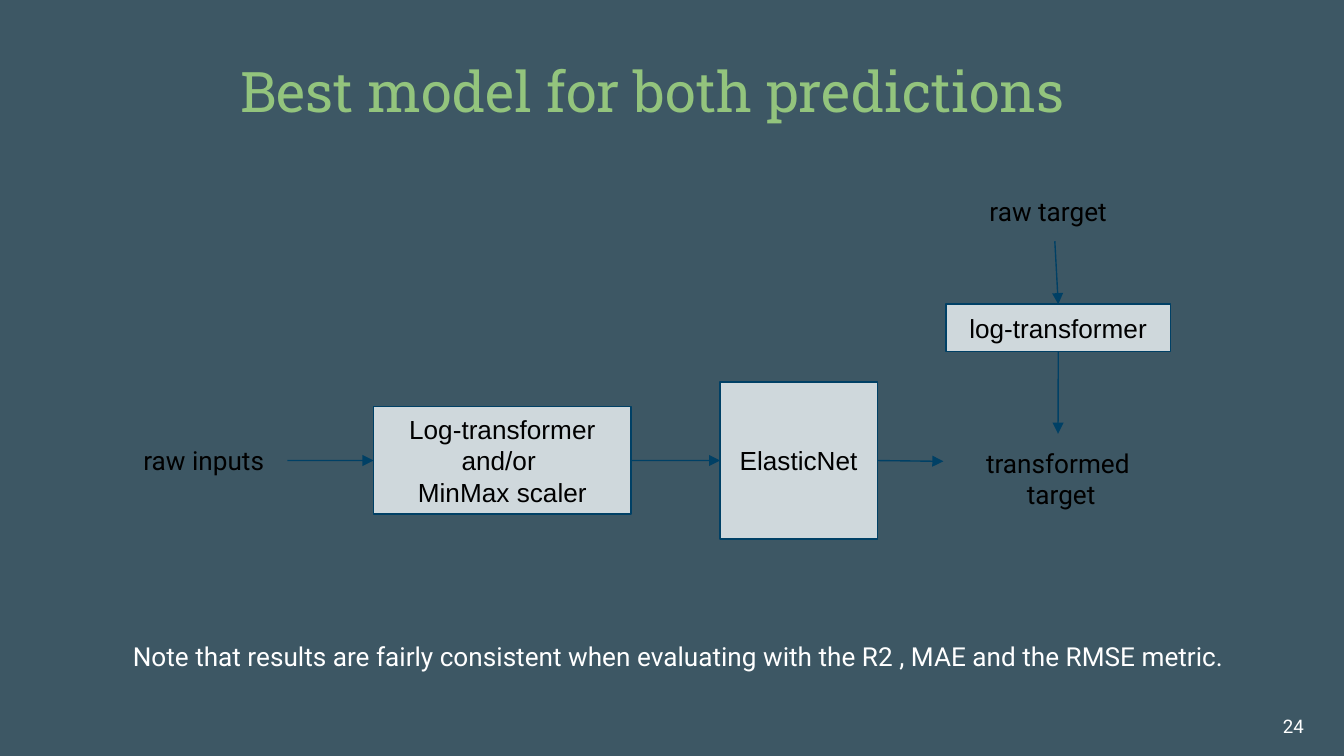
from lxml import etree
from pptx import Presentation
from pptx import util as u
from pptx.dml.color import RGBColor
from pptx.enum import shapes, text
from pptx.oxml.ns import qn

TITLE = "Best model for both predictions"
BACKGROUND, BOX_FILL, LINE, BLACK, WHITE, GREEN = "3D5764", "CFD8DC", "004065", "000000", "FFFFFF", "93C47D"
TOP, LEFT, BOTTOM, RIGHT = range(4)

BOXES = {
    "elastic": ("ElasticNet", "FLOWCHART_PROCESS", (13.61, 7.22, 2.97, 2.97)),
    "scaler": ("Log-transformer\nand/or \nMinMax scaler", "RECTANGLE", (7.06, 7.69, 4.87, 2.03)),
    "log": ("log-transformer", "RECTANGLE", (17.88, 5.75, 4.24, 0.9)),
}
LABELS = {
    "inputs": ("raw inputs", (2.46, 8.15, 2.97, 1.11), {}),
    "target": ("raw target", (18.45, 3.45, 2.97, 1.11), {}),
    "transformed": ("transformed\v target", (18.28, 8.2, 3.43, 1.71), {"align": "CENTER"}),
    "note": ("Note that results are fairly consistent when evaluating with the R2 , MAE and the RMSE metric.",
             (2.26, 11.86, 22, 1.11), {"color": WHITE}),
    "number": ("24", (23.37, 13.18, 1.52, 1.09),
               {"color": WHITE, "size": 10, "align": "RIGHT", "anchor": "MIDDLE"}),
}
ARROWS = [
    ("inputs", RIGHT, "scaler", LEFT),
    ("scaler", RIGHT, "elastic", LEFT),
    ("target", BOTTOM, "log", TOP),
    ("log", BOTTOM, "transformed", TOP),
]
OUTPUT_END = (17.83, 8.72)


def rgb(value):
    """Turn a hex string into a colour."""
    return RGBColor.from_string(value)


def write(s, words, font="Roboto", size=14, color=BLACK, align="LEFT", anchor="TOP"):
    """Fill a shape with formatted text."""
    tf = s.text_frame
    tf.word_wrap = True
    tf.auto_size = text.MSO_AUTO_SIZE.NONE
    tf.vertical_anchor = text.MSO_ANCHOR[anchor]
    tf.margin_left = tf.margin_right = tf.margin_top = tf.margin_bottom = u.Cm(0.25)
    tf.text = words
    for p in tf.paragraphs:
        p.alignment = text.PP_ALIGN[align]
        for r in p.runs:
            r.font.name, r.font.size = font, u.Pt(size)
            r.font.color.rgb = rgb(color)


def outline(s):
    """Give a shape or connector the thin diagram line."""
    s.line.color.rgb = rgb(LINE)
    s.line.width = u.Pt(0.75)


def arrow(sp, start, side, end=None, end_side=None, point=(0, 0)):
    """Join two nodes, or a node and a free point, with an arrow."""
    x, y = map(u.Cm, point)
    s = sp.add_connector(shapes.MSO_CONNECTOR.STRAIGHT, x, y, x, y)
    s.begin_connect(start, side)
    if end is not None:
        s.end_connect(end, end_side)
    outline(s)
    etree.SubElement(s.line._get_or_add_ln(), qn("a:tailEnd"), type="triangle")
    etree.SubElement(s._element.spPr, qn("a:effectLst"))


def main():
    """Build the slide and save it."""
    prs = Presentation()
    prs.slide_width, prs.slide_height = u.Cm(25.4), u.Cm(14.29)
    slide = prs.slides.add_slide(prs.slide_layouts[5])
    slide.background.fill.solid()
    slide.background.fill.fore_color.rgb = rgb(BACKGROUND)
    sp = slide.shapes

    s = sp.title
    s.left, s.top, s.width, s.height = map(u.Cm, (4.29, 0.69, 16.81, 1.9))
    write(s, TITLE, font="Roboto Slab", size=30, color=GREEN, anchor="BOTTOM")

    nodes = {}
    for name, (words, preset, place) in BOXES.items():
        s = nodes[name] = sp.add_shape(shapes.MSO_SHAPE[preset], *map(u.Cm, place))
        s.shadow.inherit = False
        s.fill.solid()
        s.fill.fore_color.rgb = rgb(BOX_FILL)
        outline(s)
        write(s, words, font="Arial", align="CENTER", anchor="MIDDLE")
    for name, (words, place, style) in LABELS.items():
        s = nodes[name] = sp.add_textbox(*map(u.Cm, place))
        write(s, words, **style)

    for start, side, end, end_side in ARROWS:
        arrow(sp, nodes[start], side, nodes[end], end_side)
    arrow(sp, nodes["elastic"], RIGHT, point=OUTPUT_END)

    prs.save("out.pptx")


if __name__ == "__main__":
    main()
